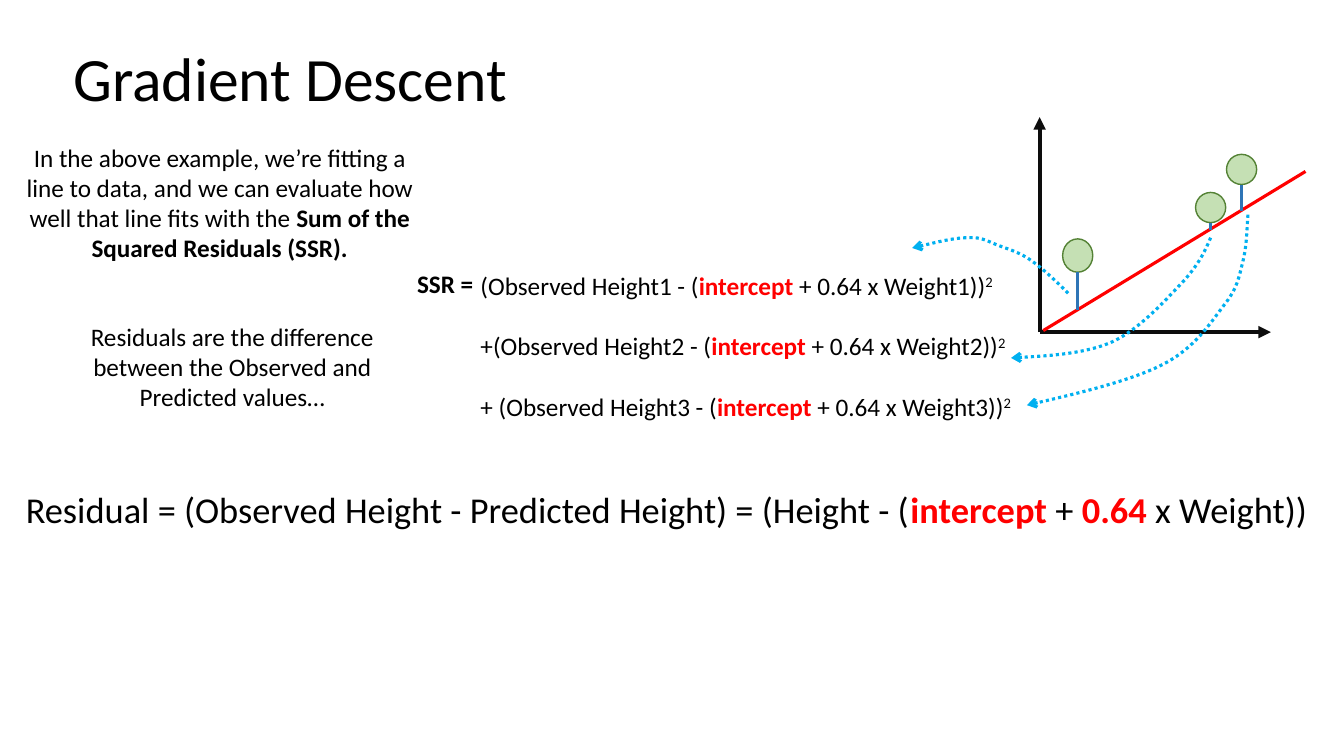
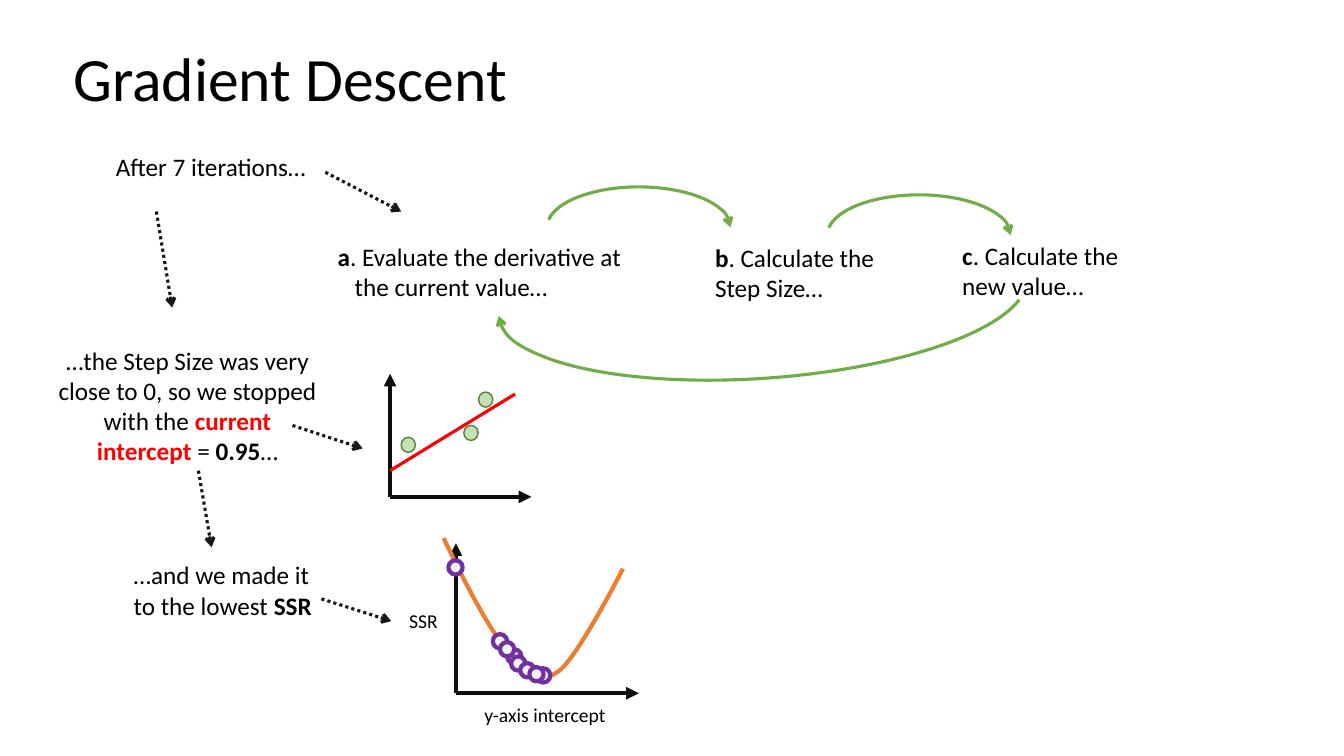
from typing import NamedTuple, Union

import pptx
import pptx.dml.color
import pptx.enum.dml
import pptx.enum.shapes
import pptx.enum.text
import pptx.oxml.ns
import pptx.presentation
import pptx.shapes.base
import pptx.shapes.group
import pptx.slide
import pptx.text.text
import pptx.util
from lxml import etree

Cm = pptx.util.Cm
Pt = pptx.util.Pt
qn = pptx.oxml.ns.qn
Shapes = pptx.enum.shapes.MSO_SHAPE
Align = pptx.enum.text.PP_ALIGN
Point = tuple[float, float]
Canvas = Union[pptx.slide.Slide, pptx.shapes.group.GroupShape]

FONT = "Calibri"
COLORS = {
    "text": "000000",
    "highlight": "FF0000",
    "axis": "0D0D0D",
    "pointer": "181717",
    "point": "C5E0B4",
    "point edge": "548235",
    "residual": "2E75B6",
    "callout": "00B0F0",
    "cycle": "70AD47",
    "parabola": "ED7D31",
    "step": "F2F2F2",
    "step edge": "7030A0",
}


class Piece(NamedTuple):
    text: str
    bold: bool = False
    color: str = "text"
    superscript: bool = False


class Box(NamedTuple):
    left: float
    top: float
    width: float
    height: float


class Stroke(NamedTuple):
    color: str
    width: float = 2.25
    dotted: bool = False
    arrow: str = ""


class Label(NamedTuple):
    box: Box
    paragraphs: list[list[Piece]]
    size: float = 18
    align: Align = Align.LEFT
    space_before: float = 0
    hanging: float = 0


class Axes(NamedTuple):
    origin: Point
    top: float
    right: float


AXIS = Stroke("axis", 3, arrow="triangle")
FIT = Stroke("highlight")
RESIDUAL = Stroke("residual")
POINTER = Stroke("pointer", dotted=True, arrow="arrow")
CALLOUT = Stroke("callout", dotted=True, arrow="arrow")
CYCLE = Stroke("cycle", arrow="arrow")
PARABOLA = Stroke("parabola", 3)
POINT_EDGE = Stroke("point edge", 1)
STEP_EDGE = Stroke("step edge", 3)


# Shared drawing functions
def rgb(name: str) -> pptx.dml.color.RGBColor:
    return pptx.dml.color.RGBColor.from_string(COLORS[name])


def apply_stroke(shape: pptx.shapes.base.BaseShape, stroke: Stroke) -> None:
    line = shape.line
    line.color.rgb = rgb(stroke.color)
    line.width = Pt(stroke.width)
    if stroke.dotted:
        line.dash_style = pptx.enum.dml.MSO_LINE.ROUND_DOT
    if stroke.arrow:
        outline = shape._element.spPr.find(qn("a:ln"))
        etree.SubElement(outline, qn("a:tailEnd"), type=stroke.arrow)


def add_label(canvas: Canvas, label: Label) -> pptx.text.text.TextFrame:
    text_frame = canvas.shapes.add_textbox(*map(Cm, label.box)).text_frame
    text_frame.word_wrap = True
    for index, pieces in enumerate(label.paragraphs):
        paragraph = text_frame.add_paragraph() if index else text_frame.paragraphs[0]
        paragraph.alignment = label.align
        if index:
            paragraph.space_before = Pt(label.space_before)
        if label.hanging:
            properties = paragraph._p.get_or_add_pPr()
            properties.set("marL", str(Cm(label.hanging)))
            properties.set("indent", str(-Cm(label.hanging)))
        paragraph.text = pieces[0].text
        for piece in pieces[1:]:
            paragraph.add_run().text = piece.text
        for run, piece in zip(paragraph.runs, pieces):
            run.font.name = FONT
            run.font.size = Pt(label.size)
            run.font.bold = piece.bold
            run.font.color.rgb = rgb(piece.color)
            if piece.superscript:
                run._r.get_or_add_rPr().set("baseline", "30000")
    return text_frame


def add_line(canvas: Canvas, start: Point, end: Point, stroke: Stroke) -> None:
    connector = canvas.shapes.add_connector(
        pptx.enum.shapes.MSO_CONNECTOR.STRAIGHT, *map(Cm, start + end))
    apply_stroke(connector, stroke)
    etree.SubElement(connector._element.spPr, qn("a:effectLst"))


def add_axes(canvas: Canvas, axes: Axes) -> None:
    x, y = axes.origin
    add_line(canvas, axes.origin, (x, axes.top), AXIS)
    add_line(canvas, axes.origin, (axes.right, y), AXIS)


def add_dot(canvas: Canvas, box: Box, fill: str, edge: Stroke) -> None:
    dot = canvas.shapes.add_shape(Shapes.OVAL, *map(Cm, box))
    dot.shadow.inherit = False
    dot.fill.solid()
    dot.fill.fore_color.rgb = rgb(fill)
    apply_stroke(dot, edge)


def add_arc(canvas: Canvas, box: Box, rotation: float) -> None:
    arc = canvas.shapes.add_shape(Shapes.ARC, *map(Cm, box))
    arc.shadow.inherit = False
    arc.fill.background()
    arc.adjustments[0] = 110.82
    arc.adjustments[1] = 0
    arc.rotation = rotation
    apply_stroke(arc, CYCLE)


def add_curve(canvas: Canvas, knots: list[Point], stroke: Stroke) -> None:
    """Draw cubic Bezier segments: a start, then two handles and an end for each."""
    builder = canvas.shapes.build_freeform(*map(Cm, knots[0]))
    builder.add_line_segments([tuple(map(Cm, knot)) for knot in knots[1:]], close=False)
    curve = builder.convert_to_shape()
    # Turn every three straight segments into one cubic segment
    segments = list(curve._element.iter(qn("a:lnTo")))
    outline = segments[0].getparent()
    for first in range(0, len(segments), 3):
        cubic = etree.SubElement(outline, qn("a:cubicBezTo"))
        for segment in segments[first:first + 3]:
            cubic.append(segment[0])
            outline.remove(segment)
    curve.shadow.inherit = False
    curve.fill.background()
    apply_stroke(curve, stroke)


def add_titled_slide(presentation: pptx.presentation.Presentation) -> pptx.slide.Slide:
    slide = presentation.slides.add_slide(presentation.slide_layouts[6])
    title = Label(Box(1.6, 0.22, 17.32, 3.68), [[Piece("Gradient Descent")]], size=44)
    text_frame = add_label(slide, title)
    text_frame.vertical_anchor = pptx.enum.text.MSO_ANCHOR.MIDDLE
    text_frame.paragraphs[0].line_spacing = 0.9
    return slide


def squared_residual(opening: str, number: int) -> list[Piece]:
    return [
        Piece(f"{opening}Observed Height{number} - ("),
        Piece("intercept", True, "highlight"),
        Piece(f" + 0.64 x Weight{number}))"),
        Piece("2", superscript=True),
    ]


# Slide: sum of the squared residuals
def build_residuals(slide: pptx.slide.Slide) -> None:
    explanations = [
        Label(Box(0.36, 3.45, 10.36, 3.33), [[
            Piece("In the above example, we’re fitting a line to data, and we can "
                  "evaluate how well that line fits with the "),
            Piece("Sum of the Squared Residuals (SSR).", True),
        ]], align=Align.CENTER),
        Label(Box(1.45, 7.97, 8.81, 2.57), [[
            Piece("Residuals are the difference between the Observed and Predicted values…"),
        ]], align=Align.CENTER),
        Label(Box(0.4, 12.14, 34.29, 1.37), [[
            Piece("Residual = (Observed Height - Predicted Height) = (Height - ("),
            Piece("intercept", True, "highlight"),
            Piece(" + "),
            Piece("0.64", True, "highlight"),
            Piece(" x Weight))"),
        ]], size=26),
    ]
    for label in explanations:
        add_label(slide, label)

    # Plot with each point's residual dropping to the fitted line
    plot = slide.shapes.add_group_shape()
    add_axes(plot, Axes((26.2, 8.37), 2.95, 32.03))
    observations = [
        (Box(26.78, 6.02, 0.76, 0.84), 7.8),
        (Box(30.13, 4.85, 0.76, 0.76), 5.79),
        (Box(30.91, 3.89, 0.76, 0.76), 5.31),
    ]
    for box, _ in observations:
        add_dot(plot, box, "point", POINT_EDGE)
    add_line(plot, (26.29, 8.33), (32.9, 4.32), FIT)
    for box, predicted in observations:
        center = box.left + box.width / 2
        add_line(plot, (center, box.top + box.height), (center, predicted), RESIDUAL)

    # Sum written out term by term
    add_label(slide, Label(Box(11.86, 6.68, 15.24, 4.11), [
        squared_residual(opening, number)
        for number, opening in enumerate(("(", "+(", "+ ("), start=1)
    ], space_before=21.6))
    add_label(slide, Label(Box(10.26, 6.63, 2.31, 1.02), [[Piece("SSR =", True)]]))

    # Dotted callouts from residuals to terms
    callouts = [
        [(26.92, 7.39), (26.62, 7.09), (26.29, 6.78), (26.01, 6.58), (25.73, 6.38),
         (25.48, 6.3), (25.2, 6.2), (24.92, 6.1), (24.77, 5.97), (24.41, 5.99),
         (24.03, 5.99), (22.99, 6.25), (22.99, 6.25)],
        [(30.51, 5.99), (30.38, 6.3), (30.25, 6.6), (29.85, 7.06), (29.44, 7.49),
         (28.75, 8.28), (28.04, 8.61), (27.31, 8.94), (25.48, 9.02), (25.48, 9.02)],
        [(31.45, 5.41), (31.42, 5.82), (31.42, 6.22), (31.32, 6.6), (31.22, 6.99),
         (31.19, 7.26), (30.84, 7.7), (30.51, 8.13), (30.1, 8.79), (29.29, 9.19),
         (28.45, 9.63), (25.88, 10.21), (25.88, 10.21)],
    ]
    for knots in callouts:
        add_curve(slide, knots, CALLOUT)


# Slide: the iteration cycle and its result
def build_iterations(slide: pptx.slide.Slide) -> None:
    add_label(slide, Label(Box(2.67, 3.68, 5.87, 1.02), [[Piece("After 7 iterations…")]]))

    # Cycle of three stages
    cycle = slide.shapes.add_group_shape()
    stages = [
        ("a", ". Evaluate the derivative at the current value…",
         Box(8.26, 5.95, 7.82, 1.8), 0.43),
        ("b", ". Calculate the Step Size…", Box(17.77, 5.97, 4.57, 1.8), 0),
        ("c", ". Calculate the new value…", Box(24, 5.93, 4.62, 1.8), 0),
    ]
    for letter, action, box, hanging in stages:
        add_label(cycle, Label(box, [[Piece(letter, True), Piece(action)]], hanging=hanging))
    add_arc(cycle, Box(13.79, 4.71, 4.62, 2.03), 0)
    add_arc(cycle, Box(20.85, 4.91, 4.62, 2.03), 0)
    add_arc(cycle, Box(12.55, 5.44, 13.34, 4.09), 175.9)

    # Outcome
    add_label(slide, Label(Box(1.18, 8.57, 7.09, 3.33), [[
        Piece("…the Step Size was very close to 0, so we stopped with the "),
        Piece("current intercept ", True, "highlight"),
        Piece("= "), Piece("0.95", True), Piece("…"),
    ]], align=Align.CENTER))
    add_label(slide, Label(Box(3.12, 13.98, 5.44, 1.8), [[
        Piece("…and we made it to the lowest "), Piece("SSR", True)]]))

    # Dotted pointers
    pointers = [
        ((3.94, 5.33), (4.34, 7.75)),
        ((5, 11.86), (5.33, 13.79)),
        ((8.2, 4.34), (10.11, 5.33)),
        ((7.37, 10.72), (9.14, 11.3)),
        ((8.1, 15.09), (9.86, 15.65)),
    ]
    for start, end in pointers:
        add_line(slide, start, end, POINTER)

    # SSR against the intercept
    descent = slide.shapes.add_group_shape()
    add_axes(descent, Axes((11.49, 17.47), 13.69, 16.1))
    add_curve(descent, [
        (11.18, 13.56), (11.73, 14.71), (12.32, 15.85), (12.8, 16.41), (13.28, 16.97),
        (13.59, 17.27), (14.07, 16.92), (14.55, 16.59), (15.7, 14.33), (15.7, 14.33),
    ], PARABOLA)
    for left, top in [(13.51, 16.84), (11.3, 14.12), (12.78, 16.36), (12.42, 15.98),
                      (12.6, 16.18), (12.88, 16.54), (13.11, 16.71), (13.34, 16.81)]:
        add_dot(descent, Box(left, top, 0.36, 0.36), "step", STEP_EDGE)

    # Fitted line
    plot = slide.shapes.add_group_shape()
    add_axes(plot, Axes((9.83, 12.52), 9.42, 13.39))
    for left, top in [(10.11, 11.02), (11.69, 10.72), (12.06, 9.88)]:
        add_dot(plot, Box(left, top, 0.36, 0.38), "point", POINT_EDGE)
    add_line(plot, (9.83, 11.86), (12.98, 9.93), FIT)

    # Axis names
    add_label(slide, Label(Box(11.96, 17.6, 3.81, 0.86), [[Piece("y-axis intercept")]], 14))
    add_label(slide, Label(Box(10.06, 15.21, 1.4, 0.86), [[Piece("SSR")]], 14))


def main() -> None:
    presentation = pptx.Presentation()
    presentation.slide_width = Cm(33.87)
    presentation.slide_height = Cm(19.05)
    for build in (build_residuals, build_iterations):
        build(add_titled_slide(presentation))
    presentation.save("out.pptx")


if __name__ == "__main__":
    main()
